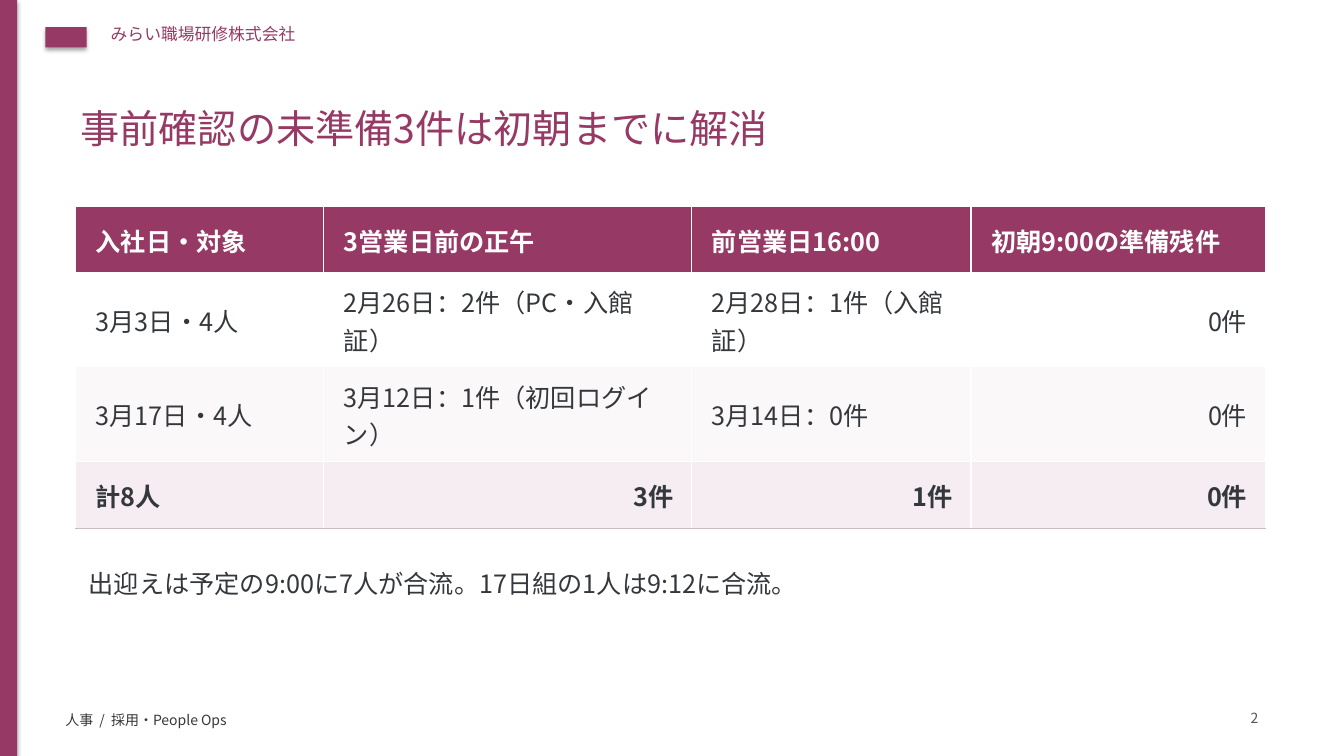
from dataclasses import dataclass

from lxml.etree import SubElement
from pptx import Presentation
from pptx.dml.color import RGBColor
from pptx.enum.shapes import MSO_SHAPE
from pptx.enum.text import MSO_ANCHOR, PP_ALIGN
from pptx.oxml.ns import qn
from pptx.slide import Slide
from pptx.table import _Cell as Cell
from pptx.text.text import TextFrame
from pptx.util import Emu, Pt

PX = 9144  # 100 px to the inch
FONT = "Noto Sans CJK JP"

WHITE = RGBColor(0xFF, 0xFF, 0xFF)
BLACK = RGBColor(0x00, 0x00, 0x00)
PLUM = RGBColor(0x96, 0x3A, 0x65)
INK = RGBColor(0x34, 0x38, 0x3C)
GREY = RGBColor(0x53, 0x59, 0x52)
PALE = RGBColor(0xFA, 0xF8, 0xF9)
ROSE = RGBColor(0xF5, 0xED, 0xF1)
RULE = RGBColor(0xCB, 0xBC, 0xC4)


@dataclass(frozen=True)
class Box:
    left: int
    top: int
    width: int
    height: int

    def emu(self) -> tuple[Emu, ...]:
        return tuple(px(n) for n in (self.left, self.top, self.width, self.height))


@dataclass(frozen=True)
class Label:
    text: str
    box: Box
    size: int
    color: RGBColor
    spacing: float = 1.0
    align: PP_ALIGN = PP_ALIGN.LEFT
    inset: bool = True


@dataclass(frozen=True)
class Row:
    """Columns from right_from onward are right-aligned."""
    texts: tuple[str, ...]
    height: int
    fill: RGBColor
    color: RGBColor = INK
    bold: bool = False
    right_from: int = 3


DECORATIONS = (Box(0, 0, 17, 750), Box(45, 27, 41, 20))

LABELS = (
    Label("みらい職場研修株式会社", Box(100, 19, 800, 40), 12, PLUM),
    Label("人事  /  採用・People Ops", Box(55, 701, 1000, 30), 10, INK),
    Label("事前確認の未準備3件は初朝までに解消", Box(70, 90, 1180, 85), 28, PLUM, 1.18),
    Label("2", Box(1210, 701, 38, 25), 10, GREY, 1.18, PP_ALIGN.RIGHT, inset=False),
    Label("出迎えは予定の9:00に7人が合流。17日組の1人は9:12に合流。",
          Box(88, 558, 1150, 55), 18, INK, 1.18, inset=False),
)

TABLE_LEFT, TABLE_TOP = 75, 205
COLUMN_WIDTHS = (246, 365, 277, 292)
ROWS = (
    Row(("入社日・対象", "3営業日前の正午", "前営業日16:00", "初朝9:00の準備残件"),
        65, PLUM, WHITE, bold=True, right_from=4),
    Row(("3月3日・4人", "2月26日：2件（PC・入館証）", "2月28日：1件（入館証）", "0件"),
        94, WHITE),
    Row(("3月17日・4人", "3月12日：1件（初回ログイン）", "3月14日：0件", "0件"),
        94, PALE),
    Row(("計8人", "3件", "1件", "0件"), 66, ROSE, bold=True, right_from=1),
)


def px(length: int) -> Emu:
    return Emu(length * PX)


def write(frame: TextFrame, text: str, *, size: int, color: RGBColor, bold: bool = False,
          spacing: float = 1.0, align: PP_ALIGN = PP_ALIGN.LEFT) -> None:
    frame.word_wrap = True
    paragraph = frame.paragraphs[0]
    paragraph.alignment = align
    paragraph.line_spacing = spacing
    run = paragraph.add_run()
    run.text = text
    font = run.font
    font.size, font.bold, font.name = Pt(size), bold, FONT
    font.color.rgb = color
    SubElement(run._r.get_or_add_rPr(), qn("a:ea"), typeface=FONT)


def add_label(slide: Slide, label: Label) -> None:
    frame = slide.shapes.add_textbox(*label.box.emu()).text_frame
    if not label.inset:
        frame.margin_left = frame.margin_top = frame.margin_right = frame.margin_bottom = 0
    write(frame, label.text, size=label.size, color=label.color,
          spacing=label.spacing, align=label.align)


def add_decoration(slide: Slide, box: Box) -> None:
    """Draw a plum block with a soft shadow below it."""
    block = slide.shapes.add_shape(MSO_SHAPE.RECTANGLE, *box.emu())
    block.fill.solid()
    block.fill.fore_color.rgb = PLUM
    block.line.fill.background()
    block.shadow.inherit = False
    effects = block._element.spPr.find(qn("a:effectLst"))
    shadow = SubElement(effects, qn("a:outerShdw"), blurRad=str(Pt(3.1)),
                        dist=str(Pt(1.8)), dir="5400000", rotWithShape="0")
    shade = SubElement(shadow, qn("a:srgbClr"), val=str(BLACK))
    SubElement(shade, qn("a:alpha"), val="35000")


def set_border(cell: Cell, side: str, color: RGBColor, points: float) -> None:
    line = SubElement(cell._tc.get_or_add_tcPr(), qn(f"a:ln{side}"), w=str(Pt(points)))
    SubElement(SubElement(line, qn("a:solidFill")), qn("a:srgbClr"), val=str(color))


def fill_cell(cell: Cell, text: str, row: Row, align: PP_ALIGN, is_last: bool) -> None:
    cell.margin_left, cell.margin_right = px(20), px(18)
    cell.margin_top = cell.margin_bottom = px(5)
    cell.vertical_anchor = MSO_ANCHOR.MIDDLE
    for side in "LRT":
        set_border(cell, side, WHITE, 1)
    set_border(cell, "B", *((RULE, 0.6) if is_last else (WHITE, 1)))
    cell.fill.solid()
    cell.fill.fore_color.rgb = row.fill
    write(cell.text_frame, text, size=18, color=row.color, bold=row.bold,
          spacing=1.04, align=align)


def add_readiness_table(slide: Slide) -> None:
    box = Box(TABLE_LEFT, TABLE_TOP, sum(COLUMN_WIDTHS), sum(row.height for row in ROWS))
    table = slide.shapes.add_table(len(ROWS), len(COLUMN_WIDTHS), *box.emu()).table
    table.horz_banding = False
    for column, width in zip(table.columns, COLUMN_WIDTHS):
        column.width = px(width)
    for r, row in enumerate(ROWS):
        table.rows[r].height = px(row.height)
        for c, text in enumerate(row.texts):
            align = PP_ALIGN.RIGHT if c >= row.right_from else PP_ALIGN.LEFT
            fill_cell(table.cell(r, c), text, row, align, is_last=row is ROWS[-1])


def main() -> None:
    deck = Presentation()
    deck.slide_width, deck.slide_height = px(1333), px(750)
    slide = deck.slides.add_slide(deck.slide_layouts[6])
    for box in DECORATIONS:
        add_decoration(slide, box)
    for label in LABELS:
        add_label(slide, label)
    add_readiness_table(slide)
    deck.save("out.pptx")


if __name__ == "__main__":
    main()
